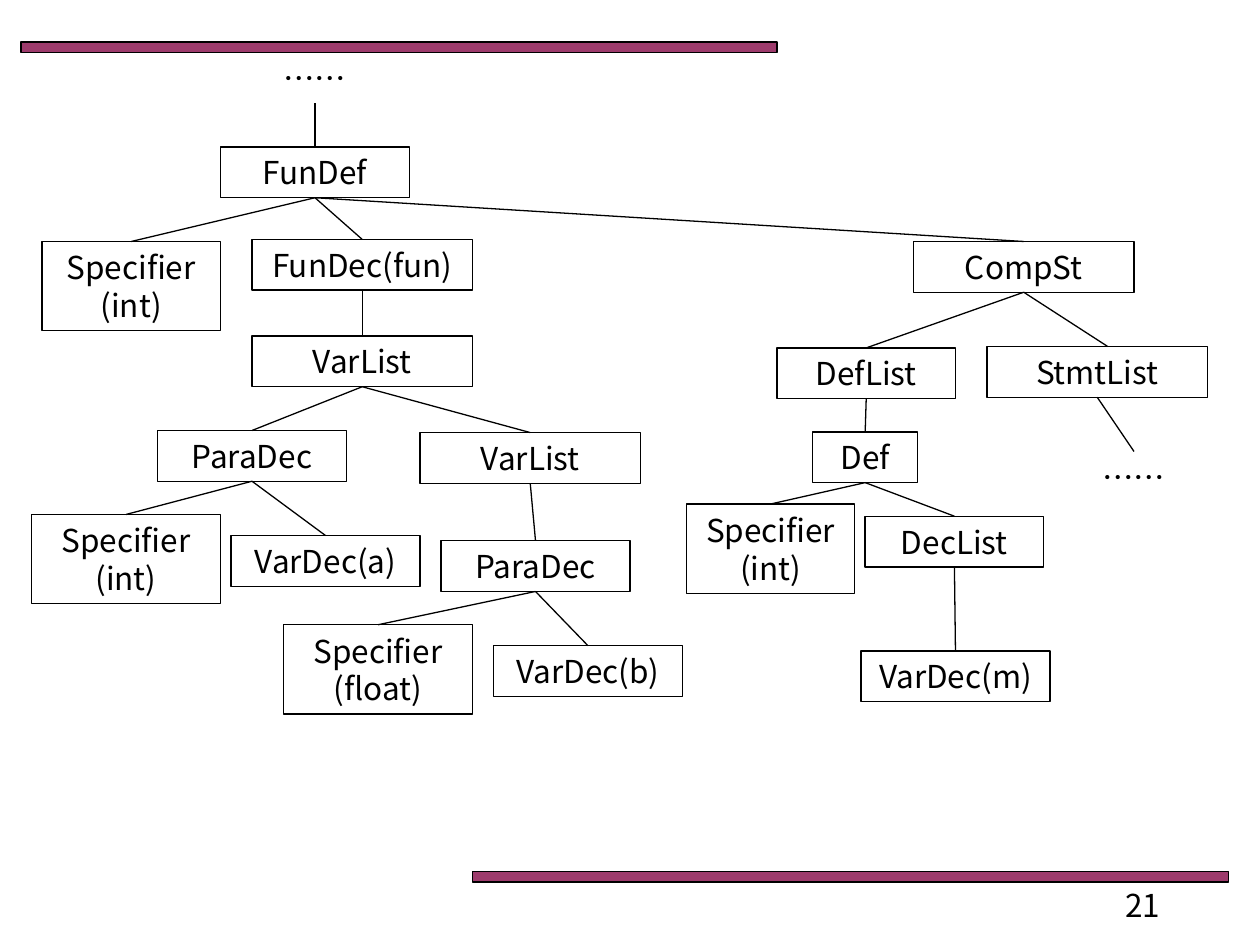
"""Builds the syntax tree slide for a function definition."""
import pptx
import pptx.dml.color
import pptx.enum.shapes
import pptx.enum.text
import pptx.oxml.ns
import pptx.util
from lxml import etree

Pt = pptx.util.Pt
BLACK = pptx.dml.color.RGBColor(0, 0, 0)
PLUM = pptx.dml.color.RGBColor(0x99, 0x33, 0x66)
ALIGN = pptx.enum.text.PP_ALIGN
ANCHOR = pptx.enum.text.MSO_ANCHOR
RECTANGLE = pptx.enum.shapes.MSO_SHAPE.RECTANGLE
STRAIGHT = pptx.enum.shapes.MSO_CONNECTOR.STRAIGHT
FONT = "Noto Sans CJK SC"
LINE_HEIGHT, PADDING = 22, 7
BOTTOM, TOP = 2, 0

BARS = [(12, 24), (270, 498)]
NODES = {
    "root": ("……", 126, 30, 108),
    "function": ("FunDef", 126, 84, 108),
    "return type": ("Specifier\n(int)", 24, 138, 102),
    "declarator": ("FunDec(fun)", 144, 136.8, 126),
    "body": ("CompSt", 522, 138, 126),
    "parameters": ("VarList", 144, 192, 126),
    "parameter a": ("ParaDec", 90, 246, 108),
    "more parameters": ("VarList", 240, 247.2, 126),
    "type of a": ("Specifier\n(int)", 18, 294, 108),
    "name a": ("VarDec(a)", 132, 306, 108),
    "parameter b": ("ParaDec", 252, 309, 108),
    "type of b": ("Specifier\n(float)", 162, 357, 108),
    "name b": ("VarDec(b)", 282, 369, 108),
    "definitions": ("DefList", 444, 198.8, 102),
    "statements": ("StmtList", 564, 198, 126),
    "definition": ("Def", 464.4, 246.8, 60),
    "type of m": ("Specifier\n(int)", 392.4, 288, 96),
    "names": ("DecList", 494.4, 295, 102),
    "name m": ("VarDec(m)", 492, 372, 108),
    "rest": ("……", 594, 258, 108),
}
CHILDREN = {
    "root": ["function"],
    "function": ["return type", "declarator", "body"],
    "declarator": ["parameters"],
    "parameters": ["parameter a", "more parameters"],
    "parameter a": ["type of a", "name a"],
    "more parameters": ["parameter b"],
    "parameter b": ["type of b", "name b"],
    "body": ["definitions", "statements"],
    "definitions": ["definition"],
    "definition": ["type of m", "names"],
    "names": ["name m"],
    "statements": ["rest"],
}
END_SHIFT = {"statements": 6}


def write(shape, text, size=18, align=ALIGN.CENTER, anchor=ANCHOR.MIDDLE):
    frame = shape.text_frame
    frame.word_wrap = True
    frame.vertical_anchor = anchor
    frame.text = text
    for paragraph in frame.paragraphs:
        paragraph.alignment = align
        for run in paragraph.runs:
            run.font.name = FONT
            run.font.size = Pt(size)
            run.font.color.rgb = BLACK
            east_asian = etree.SubElement(run.font._element, pptx.oxml.ns.qn("a:ea"))
            east_asian.set("typeface", FONT)


def outlined_box(slide, left, top, width, height):
    box = slide.shapes.add_shape(RECTANGLE, Pt(left), Pt(top), Pt(width), Pt(height))
    box.shadow.inherit = False
    box.fill.background()
    box.line.color.rgb = BLACK
    box.line.width = Pt(0.75)
    return box


def add_bar(slide, left, top):
    bar = outlined_box(slide, left, top, 432, 6)
    bar.fill.solid()
    bar.fill.fore_color.rgb = PLUM
    colour = bar._element.spPr.find(".//" + pptx.oxml.ns.qn("a:srgbClr"))
    etree.SubElement(colour, pptx.oxml.ns.qn("a:alpha")).set("val", "96000")


def add_node(slide, text, left, top, width):
    height = LINE_HEIGHT * len(text.split("\n")) + PADDING
    if text == "……":
        node = slide.shapes.add_textbox(Pt(left), Pt(top), Pt(width), Pt(height))
    else:
        node = outlined_box(slide, left, top, width, height)
    write(node, text)
    return node


def add_branch(slide, parent, child, shift):
    branch = slide.shapes.add_connector(
        STRAIGHT, parent.left + parent.width // 2, parent.top + parent.height,
        child.left + child.width // 2 + Pt(shift), child.top)
    branch.begin_connect(parent, BOTTOM)
    if not shift:
        branch.end_connect(child, TOP)
    branch.line.color.rgb = BLACK
    branch.line.width = Pt(0.75)
    etree.SubElement(branch._element.spPr, pptx.oxml.ns.qn("a:effectLst"))


def main():
    deck = pptx.Presentation()
    deck.slide_width, deck.slide_height = Pt(720), Pt(540)
    slide = deck.slides.add_slide(deck.slide_layouts[6])
    for left, top in BARS:
        add_bar(slide, left, top)
    page_number = slide.shapes.add_textbox(Pt(636), Pt(502.5), Pt(114), Pt(13))
    write(page_number, "21", align=ALIGN.LEFT, anchor=ANCHOR.TOP)
    nodes = {key: add_node(slide, *node) for key, node in NODES.items()}
    for parent, children in CHILDREN.items():
        for child in children:
            add_branch(slide, nodes[parent], nodes[child], END_SHIFT.get(child, 0))
    deck.save("out.pptx")


if __name__ == "__main__":
    main()
